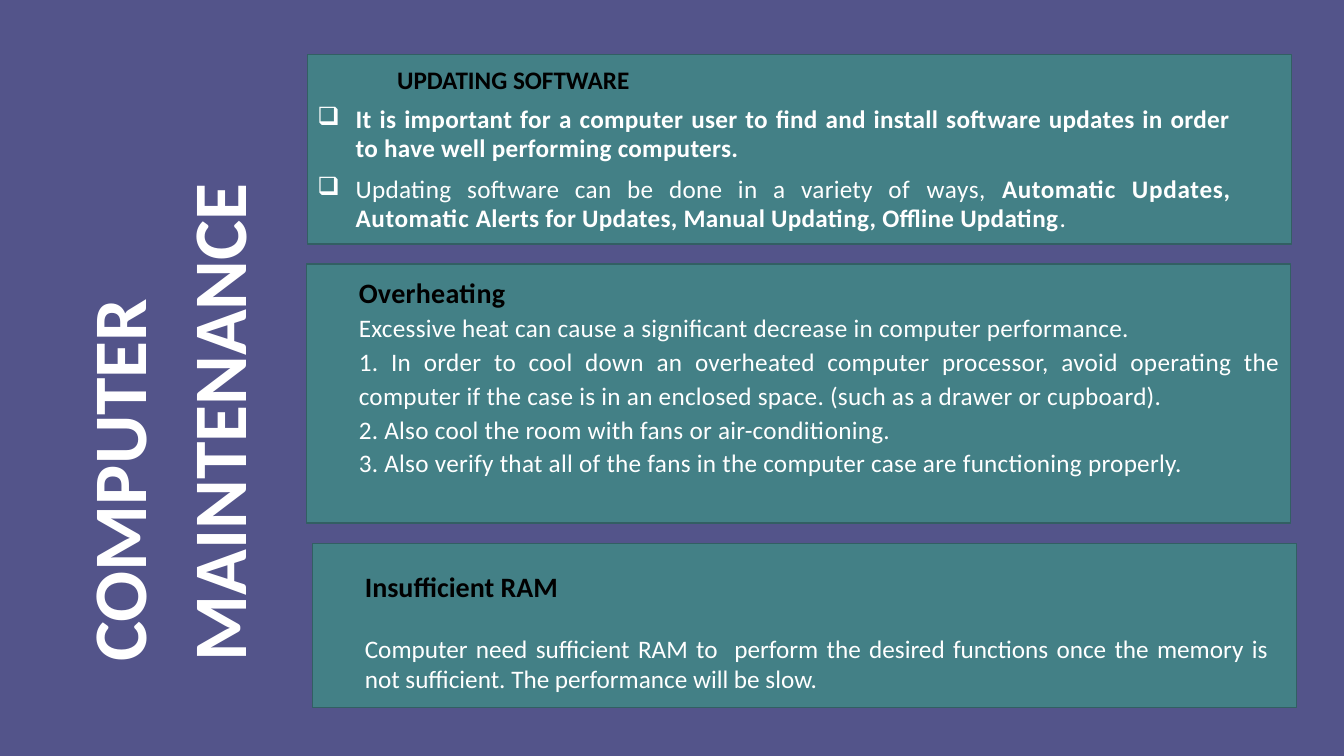
import pptx
import pptx.dml.color
import pptx.enum.shapes
import pptx.enum.text
import pptx.oxml
import pptx.oxml.ns
import pptx.util
from pptx.util import Inches, Pt

FONT = "Calibri"
BACKGROUND, PANEL, BORDER = "53548A", "438086", "325F63"
WHITE, BLACK = "FFFFFF", "000000"
ALIGN = pptx.enum.text.PP_ALIGN
ANCHOR = pptx.enum.text.MSO_ANCHOR

TITLE = ["COMPUTER", "MAINTENANCE"]

# Each span: text, bold, letter spacing in points
UPDATING_HEADING = "UPDATING SOFTWARE"
UPDATING_POINTS = [
    (7.2, [("It is important for a computer user to ﬁnd and install software updates "
            "in order to have well performing computers.", True, 0.2)]),
    (8.2, [("Updating software can be done in a variety of ", False, 0.2),
           ("ways, ", False, 0.4),
           ("Automatic ", True, 0.4),
           ("Updates, ", True, 0.5),
           ("Automatic ", True, 0.4),
           ("Alerts for Updates, Manual Updating, Oﬄine Updating", True, 0.2),
           (".", False, 0.2)]),
]

OVERHEATING_HEADING = "Overheating"
OVERHEATING_LINES = [
    "Excessive heat can cause a signiﬁcant decrease in computer performance.",
    "1. In order to cool down an overheated computer processor, avoid operating the "
    "computer if the case is in an enclosed space. (such as a drawer or cupboard).",
    "2. Also cool the room with fans or air-conditioning.",
    "3. Also verify that all of the fans in the computer case are functioning properly.",
]

RAM_HEADING = "Insuﬃcient RAM"
RAM_TEXT = ("Computer need suﬃcient RAM to  perform the desired functions once "
            "the memory is not suﬃcient. The performance will be slow.")

PANEL_WIDTH = 9.76
PANELS = [(3.05, 0.54, 1.88), (3.04, 2.62, 2.57), (3.10, 5.39, 1.63)]  # left, top, height


def color(value):
    return pptx.dml.color.RGBColor.from_string(value)


def add_span(para, text, size, fill=WHITE, bold=False, spacing=0):
    span = para.add_run()
    span.text = text
    span.font.name, span.font.size, span.font.bold = FONT, Pt(size), bold
    span.font.color.rgb = color(fill)
    if spacing:
        span.font._element.set("spc", str(round(spacing * 100)))


def add_para(frame, indent=0, hanging=0, align=ALIGN.JUSTIFY, line=None, before=0):
    """Return the next paragraph, using the frame's empty first one if it is free."""
    first = frame.paragraphs[0]
    para = frame.add_paragraph() if first.runs else first
    para.alignment = align
    para.space_before = Pt(before)
    if line:
        para.line_spacing = line
    properties = para._p.get_or_add_pPr()
    properties.set("marL", str(Inches(indent)))
    properties.set("indent", str(-Inches(hanging)))
    return para


def add_bullet(para, symbol):
    bullet = pptx.oxml.parse_xml(
        f'<a:buChar {pptx.oxml.ns.nsdecls("a")} char="{symbol}"/>')
    para._p.get_or_add_pPr().append(bullet)


def add_panel(page, left, top, height):
    panel = page.shapes.add_shape(
        pptx.enum.shapes.MSO_SHAPE.RECTANGLE,
        Inches(left), Inches(top), Inches(PANEL_WIDTH), Inches(height))
    panel.shadow.inherit = False
    panel.fill.solid()
    panel.fill.fore_color.rgb = color(PANEL)
    panel.line.color.rgb = color(BORDER)
    panel.line.width = Pt(1)
    panel.text_frame.word_wrap = True
    panel.text_frame.vertical_anchor = ANCHOR.MIDDLE
    return panel.text_frame


def write_title(page):
    title = page.shapes.title
    title.left, title.top = Inches(-4), Inches(1.33)
    title.width, title.height = Inches(10.09), Inches(0.58)
    title.rotation = 270
    frame = title.text_frame
    frame.word_wrap = True
    frame.auto_size = pptx.enum.text.MSO_AUTO_SIZE.NONE
    frame.vertical_anchor = ANCHOR.TOP
    for word in TITLE:
        para = add_para(frame, align=ALIGN.LEFT, line=0.9, before=13)
        add_span(para, word, 54, bold=True)


def write_updating(frame):
    frame.margin_right = Inches(0.6)
    heading = add_para(frame, 0.79, align=ALIGN.LEFT)
    add_span(heading, UPDATING_HEADING, 18, BLACK, True)
    for before, spans in UPDATING_POINTS:
        para = add_para(frame, 0.38, 0.38, line=0.97, before=before)
        add_bullet(para, "❑")
        for text, bold, spacing in spans:
            add_span(para, text, 18, bold=bold, spacing=spacing)


def write_overheating(frame):
    line = Pt(24.1)
    frame.margin_bottom = Inches(0.05) + line
    add_span(add_para(frame, 0.42, line=line), OVERHEATING_HEADING, 20, BLACK, True, 0.2)
    for text in OVERHEATING_LINES:
        add_span(add_para(frame, 0.42, line=line), text, 18, spacing=0.2)


def write_ram(page):
    box = page.shapes.add_textbox(Inches(2.73), Inches(5.6), Inches(9.95), Inches(1.35))
    frame = box.text_frame
    frame.word_wrap = True
    add_span(add_para(frame, 0.79, before=21.6), RAM_HEADING, 20, BLACK, True)
    add_span(add_para(frame, 0.79, before=21.6), RAM_TEXT, 18)


def main():
    deck = pptx.Presentation()
    deck.slide_width, deck.slide_height = Inches(13.33), Inches(7.5)
    page = deck.slides.add_slide(deck.slide_layouts.get_by_name("Title Only"))
    page.background.fill.solid()
    page.background.fill.fore_color.rgb = color(BACKGROUND)

    write_title(page)
    updating, overheating, _ = [add_panel(page, *place) for place in PANELS]
    write_updating(updating)
    write_overheating(overheating)
    write_ram(page)
    deck.save("out.pptx")


if __name__ == "__main__":
    main()
